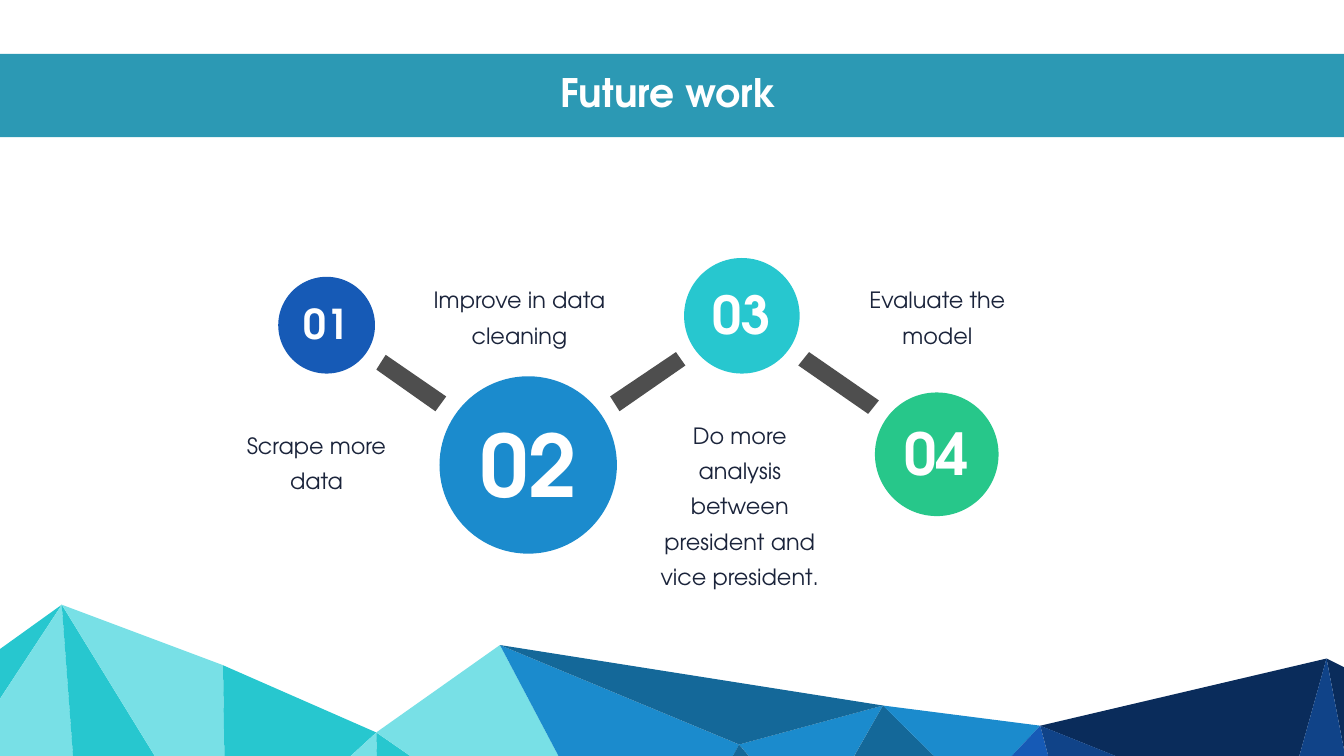
"""Build the "Future work" slide: four numbered steps above a faceted mountain range."""
from pptx import Presentation
from pptx.dml.color import RGBColor
from pptx.enum.shapes import MSO_SHAPE
from pptx.enum.text import MSO_ANCHOR, PP_ALIGN
from pptx.util import Inches, Pt

RECT, OVAL = MSO_SHAPE.RECTANGLE, MSO_SHAPE.OVAL
LEFT, CENTER = PP_ALIGN.LEFT, PP_ALIGN.CENTER
TOP, MIDDLE = MSO_ANCHOR.TOP, MSO_ANCHOR.MIDDLE

FONT = "TeX Gyre Adventor"
WIDTH = 10
HEIGHT = WIDTH * 9 / 16
WHITE, INK, GREY, TEAL = "FFFFFF", "1B243B", "4E4E4E", "2C99B4"
CYAN, PALE, SKY, STEEL = "27C7CF", "78E0E6", "1B8BCD", "146899"
ROYAL, NAVY, COBALT, GREEN = "165AB6", "0A2C5B", "104388", "27C78A"

TITLE = "Future work"
LABEL_WIDTH = 1.43

# number, centre x, centre y, diameter, fill, number size
STEPS = [
    ("01", 2.43, 2.42, 0.72, ROYAL, 22),
    ("02", 3.93, 3.46, 1.32, SKY, 46),
    ("03", 5.52, 2.35, 0.86, CYAN, 28),
    ("04", 6.97, 3.38, 0.92, GREEN, 31),
]

# text, left, top, height, top inset
LABELS = [
    ("Scrape more data", 1.64, 2.93, 0.92, 0.22),
    ("Improve in data cleaning", 3.15, 1.85, 1, 0.22),
    ("Do more analysis between president and vice president.", 4.79, 3.06, 1.32, 0.02),
    ("Evaluate the model", 6.26, 1.85, 1, 0.22),
]

LINKS = [
    [(2.87, 2.64), (3.32, 2.95), (3.24, 3.06), (2.8, 2.75)],
    [(5.03, 2.62), (5.1, 2.72), (4.61, 3.06), (4.54, 2.95)],
    [(6.02, 2.62), (6.54, 2.98), (6.46, 3.08), (5.94, 2.72)],
]

VERTICES = {
    "A": (0.46, 4.5), "B": (0, 4.83), "C": (0, 5.2), "D": (0, 6.24),
    "E": (0.59, 6.24), "F": (1.53, 6.24), "G": (1.68, 6.24), "H": (1.66, 4.95),
    "I": (2.8, 5.45), "J": (1.94, 6.24), "K": (2.82, 6.24), "L": (3.94, 6.24),
    "M": (3.72, 4.8), "N": (4.48, 6.24), "O": (5.11, 6.25), "P": (5.5, 5.54),
    "Q": (6.04, 6.18), "R": (6.57, 5.25), "S": (7.25, 5.92), "T": (7.74, 5.4),
    "U": (7.97, 6.27), "V": (7.61, 6.27), "W": (9.87, 4.9), "X": (9.53, 6.12),
    "Y": (9.16, 6.27), "Z": (10.05, 4.99), "a": (10.05, 5.84), "b": (10.05, 6.27),
    "c": (9.75, 6.27), "d": (5.89, 6.25),
}
FACETS = [
    ("ABC", CYAN), ("EACD", PALE), ("FAE", CYAN), ("GHAF", PALE),
    ("JIHG", CYAN), ("KIJ", PALE), ("LIK", CYAN), ("NMIL", PALE),
    ("OPMN", SKY), ("PQR", SKY), ("QSR", STEEL), ("RST", SKY),
    ("UTSV", ROYAL), ("TXW", NAVY), ("YXTU", COBALT), ("ZWa", NAVY),
    ("baWXc", COBALT), ("MRP", STEEL), ("dQPO", STEEL),
]


def paint(sp, color):
    sp.shadow.inherit = False
    sp.fill.solid()
    sp.fill.fore_color.rgb = RGBColor.from_string(color)
    sp.line.fill.background()


def add_polygon(shapes, points, color):
    start, *rest = [(Inches(x), Inches(y)) for x, y in points]
    builder = shapes.build_freeform(*start)
    builder.add_line_segments(rest, close=True)
    paint(builder.convert_to_shape(), color)


def place(sp, left, top, width, height):
    sp.left, sp.top = Inches(left), Inches(top)
    sp.width, sp.height = Inches(width), Inches(height)


def write(sp, text, size, color, align, anchor, insets, bold=False, spacing=1.0):
    tf = sp.text_frame
    tf.word_wrap = True
    tf.vertical_anchor = anchor
    tf.margin_left = tf.margin_right = Inches(insets[0])
    tf.margin_top, tf.margin_bottom = Inches(insets[1]), Inches(insets[2])
    p = tf.paragraphs[0]
    p.alignment, p.line_spacing = align, spacing
    r = p.add_run()
    r.text = text
    r.font.name, r.font.size, r.font.bold = FONT, Pt(size), bold
    r.font.color.rgb = RGBColor.from_string(color)


def main():
    prs = Presentation()
    prs.slide_width, prs.slide_height = Inches(WIDTH), Inches(HEIGHT)
    shapes = prs.slides.add_slide(prs.slide_layouts[5]).shapes

    for corners, color in FACETS:
        add_polygon(shapes, [VERTICES[v] for v in corners], color)
    for points in LINKS:
        add_polygon(shapes, points, GREY)

    for number, x, y, size, color, points in STEPS:
        box = (x - size / 2, y - size / 2, size, size)
        sp = shapes.add_shape(OVAL, *map(Inches, box))
        paint(sp, color)
        write(sp, number, points, WHITE, CENTER, MIDDLE, (0, 0, 0.03), bold=True)

    for text, left, top, height, inset in LABELS:
        sp = shapes.add_textbox(*map(Inches, (left, top, LABEL_WIDTH, height)))
        write(sp, text, 12, INK, CENTER, TOP, (0.04, inset, 0.02), spacing=1.31)

    band = shapes.add_shape(RECT, 0, Inches(0.4), prs.slide_width, Inches(0.62))
    paint(band, TEAL)
    title = shapes.title
    place(title, 4.07, 0.41, 1.87, 0.59)
    write(title, TITLE, 21, WHITE, LEFT, TOP, (0.1, 0.1, 0.1), bold=True)
    band._element.addnext(title._element)

    prs.save("out.pptx")


if __name__ == "__main__":
    main()
